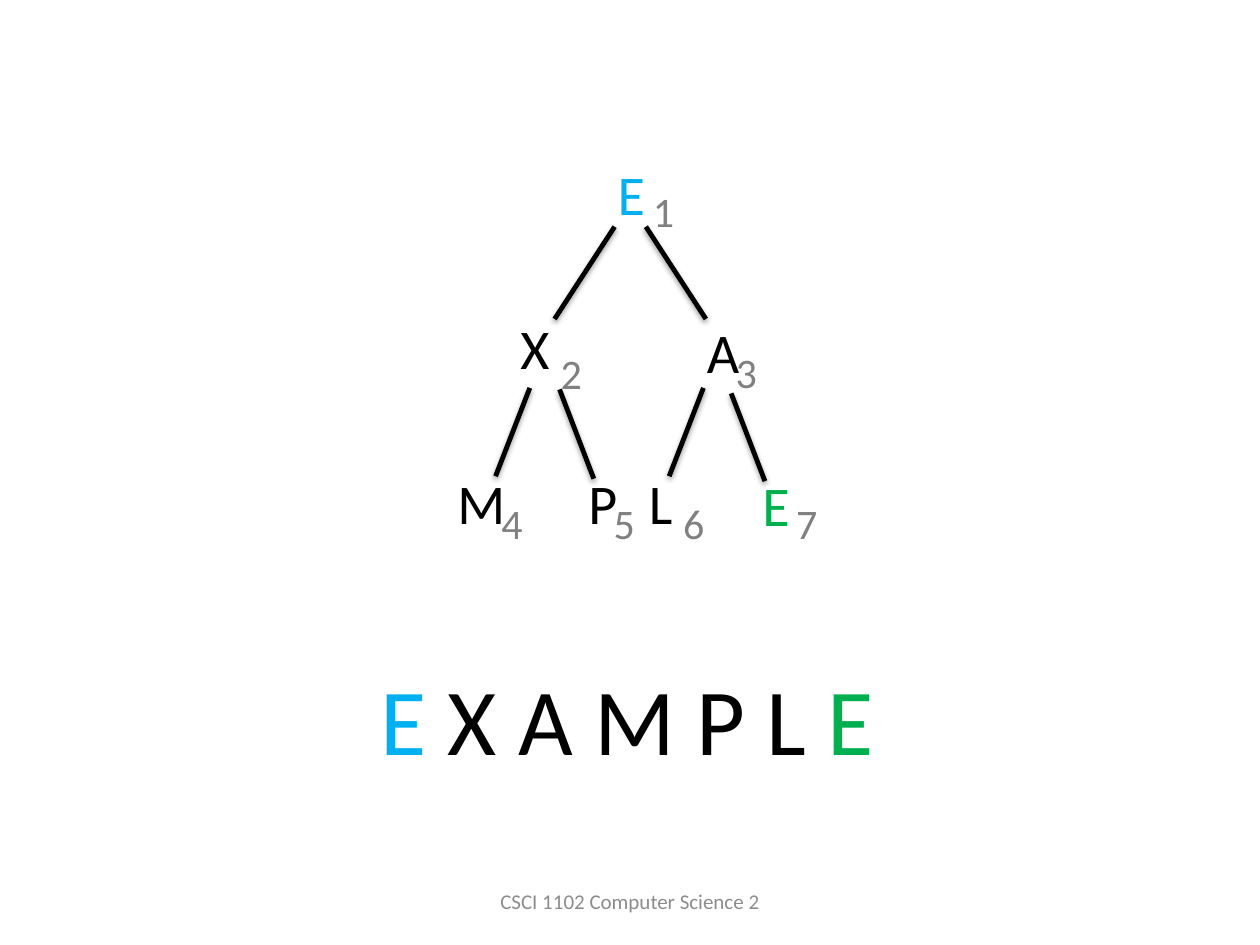
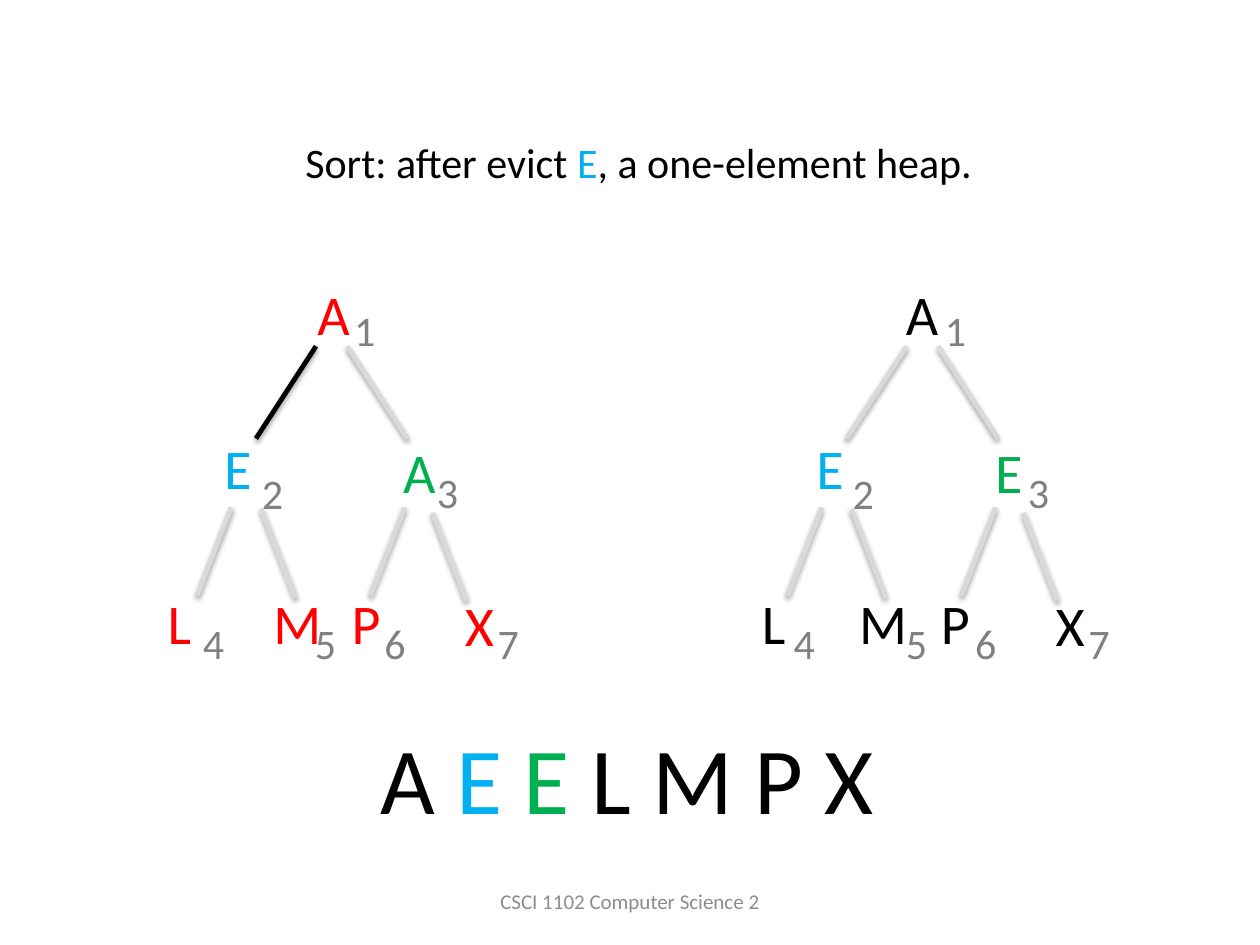
import pptx
import pptx.util
import pptx.dml.color
import pptx.enum.shapes
import pptx.enum.text
import pptx.oxml
import pptx.oxml.ns

Cm = pptx.util.Cm
RGBColor = pptx.dml.color.RGBColor
ANCHOR = pptx.enum.text.MSO_ANCHOR
ALIGN = pptx.enum.text.PP_ALIGN

# Shared style
FONT = "Calibri"
BLACK = RGBColor(0x00, 0x00, 0x00)
BLUE = RGBColor(0x00, 0xB0, 0xF0)
GREEN = RGBColor(0x00, 0xB0, 0x50)
RED = RGBColor(0xFF, 0x00, 0x00)
INDEX_GRAY = RGBColor(0x80, 0x80, 0x80)
FOOTER_GRAY = RGBColor(0x8C, 0x8C, 0x8C)
EDGE_GRAY = RGBColor(0xD9, 0xD9, 0xD9)
FOOTER = "CSCI 1102 Computer Science 2"
SHADOW = (
    f'<a:effectLst {pptx.oxml.ns.nsdecls("a")}>'
    '<a:outerShdw blurRad="40000" dist="20000" dir="5400000" rotWithShape="0">'
    '<a:srgbClr val="000000"><a:alpha val="38000"/></a:srgbClr>'
    '</a:outerShdw></a:effectLst>')

# Heap geometry in cm, measured from the top left of a tree
LETTER_WIDTHS = {"A": 1.17, "E": 1.07, "L": 0.99, "M": 1.5, "P": 1.09, "X": 1.12}
LETTER_TOPS = [0, 3.1, 3.18, 6.22, 6.22, 6.22, 6.27]
INDEX_PLACES = [(3.94, 0.51), (2.08, 3.78), (5.61, 3.76), (0.89, 6.81),
                (3.15, 6.81), (4.55, 6.81), (6.83, 6.81)]
EDGES = [(3.42, 1.47, 2.21, 3.33), (4.05, 1.47, 5.26, 3.33),
         (1.71, 4.72, 1.02, 6.5), (2.31, 4.75, 3, 6.55),
         (5.21, 4.72, 4.52, 6.5), (5.77, 4.83, 6.45, 6.6)]


def write(sp, runs, size, wrap=False, anchor=ANCHOR.TOP, align=ALIGN.LEFT):
    tf = sp.text_frame
    tf.word_wrap = wrap
    tf.auto_size = pptx.enum.text.MSO_AUTO_SIZE.NONE
    tf.vertical_anchor = anchor
    p = tf.paragraphs[0]
    p.alignment = align
    for text, color in runs:
        r = p.add_run()
        r.text = text
        r.font.name = FONT
        r.font.size = pptx.util.Pt(size)
        r.font.color.rgb = color


def add_heap(s, left, top, letters, edge_colors):
    shapes = s.shapes.add_group_shape().shapes
    # Edges
    for (x1, y1, x2, y2), color in zip(EDGES, edge_colors):
        edge = shapes.add_connector(
            pptx.enum.shapes.MSO_CONNECTOR.STRAIGHT,
            Cm(left + x1), Cm(top + y1), Cm(left + x2), Cm(top + y2))
        edge.line.color.rgb = color
        edge.line.width = pptx.util.Pt(2.75)
        edge._element.spPr.append(pptx.oxml.parse_xml(SHADOW))
    # Node letters
    for (letter, color, x), y in zip(letters, LETTER_TOPS):
        sp = shapes.add_textbox(Cm(left + x), Cm(top + y),
                                Cm(LETTER_WIDTHS[letter]), Cm(1.62))
        write(sp, [(letter, color)], 32)
    # Array indices
    for number, (x, y) in enumerate(INDEX_PLACES, 1):
        sp = shapes.add_textbox(Cm(left + x), Cm(top + y), Cm(0.87), Cm(1.28))
        write(sp, [(str(number), INDEX_GRAY)], 24, wrap=True)


prs = pptx.Presentation()
prs.slide_width, prs.slide_height = Cm(25.4), Cm(19.05)

# Slide 1: the unsorted heap
s1 = prs.slides.add_slide(prs.slide_layouts[6])
add_heap(s1, 8.97, 3.1,
         [("E", BLUE, 3.23), ("X", BLACK, 1.27), ("A", BLACK, 5.03),
          ("M", BLACK, 0), ("P", BLACK, 2.64), ("L", BLACK, 3.86),
          ("E", GREEN, 6.15)],
         [BLACK] * 6)

# Slide 2: the last two heaps of the sort
s2 = prs.slides.add_slide(prs.slide_layouts[5])
title = s2.shapes.title
title.left, title.top, title.width, title.height = Cm(5.9), Cm(2.62), Cm(14.1), Cm(1.28)
write(title, [("Sort: after evict ", BLACK), ("E", BLUE),
              (", a one-element heap.", BLACK)], 24)
add_heap(s2, 2.95, 5.51,
         [("A", RED, 3.2), ("E", BLUE, 1.32), ("A", GREEN, 4.93),
          ("L", RED, 0.18), ("M", RED, 2.31), ("P", RED, 3.89),
          ("X", RED, 6.17)],
         [BLACK] + [EDGE_GRAY] * 5)
add_heap(s2, 14.86, 5.51,
         [("A", BLACK, 3.15), ("E", BLUE, 1.35), ("E", GREEN, 4.95),
          ("L", BLACK, 0.25), ("M", BLACK, 2.21), ("P", BLACK, 3.86),
          ("X", BLACK, 6.17)],
         [EDGE_GRAY] * 6)

# Array contents and footer on both slides
arrays = [
    (s1, 13.21, [("E", BLUE), (" X A M P L ", BLACK), ("E", GREEN)]),
    (s2, 14.4, [("A ", BLACK), ("E ", BLUE), ("E ", GREEN), ("L M P X", BLACK)]),
]
for s, top, runs in arrays:
    sp = s.shapes.add_textbox(Cm(7.42), Cm(top), Cm(10.57), Cm(2.56))
    write(sp, runs, 54)
    sp = s.shapes.add_textbox(Cm(8.68), Cm(17.66), Cm(8.04), Cm(1.01))
    write(sp, [(FOOTER, FOOTER_GRAY)], 12, wrap=True,
          anchor=ANCHOR.MIDDLE, align=ALIGN.CENTER)

prs.save("out.pptx")
